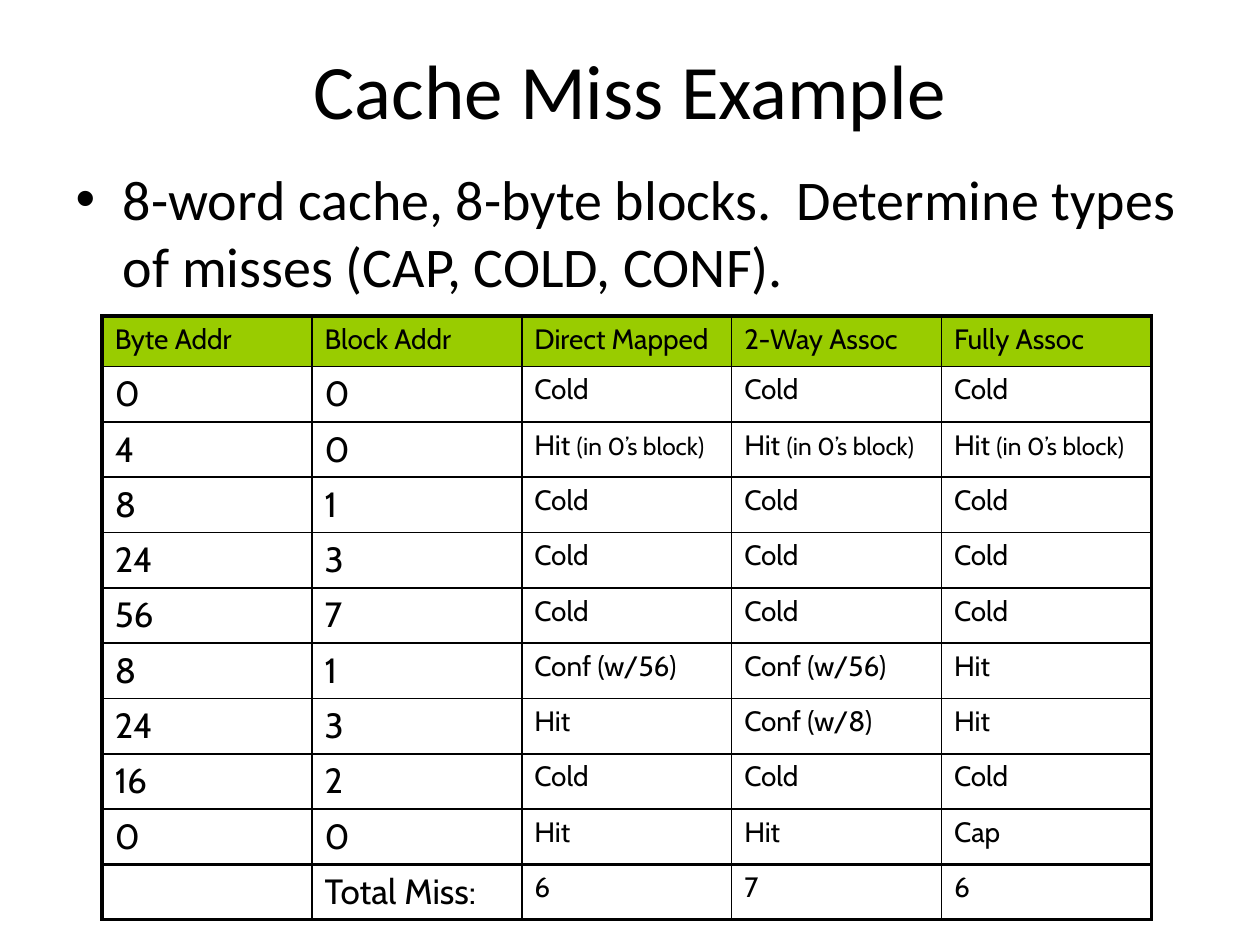
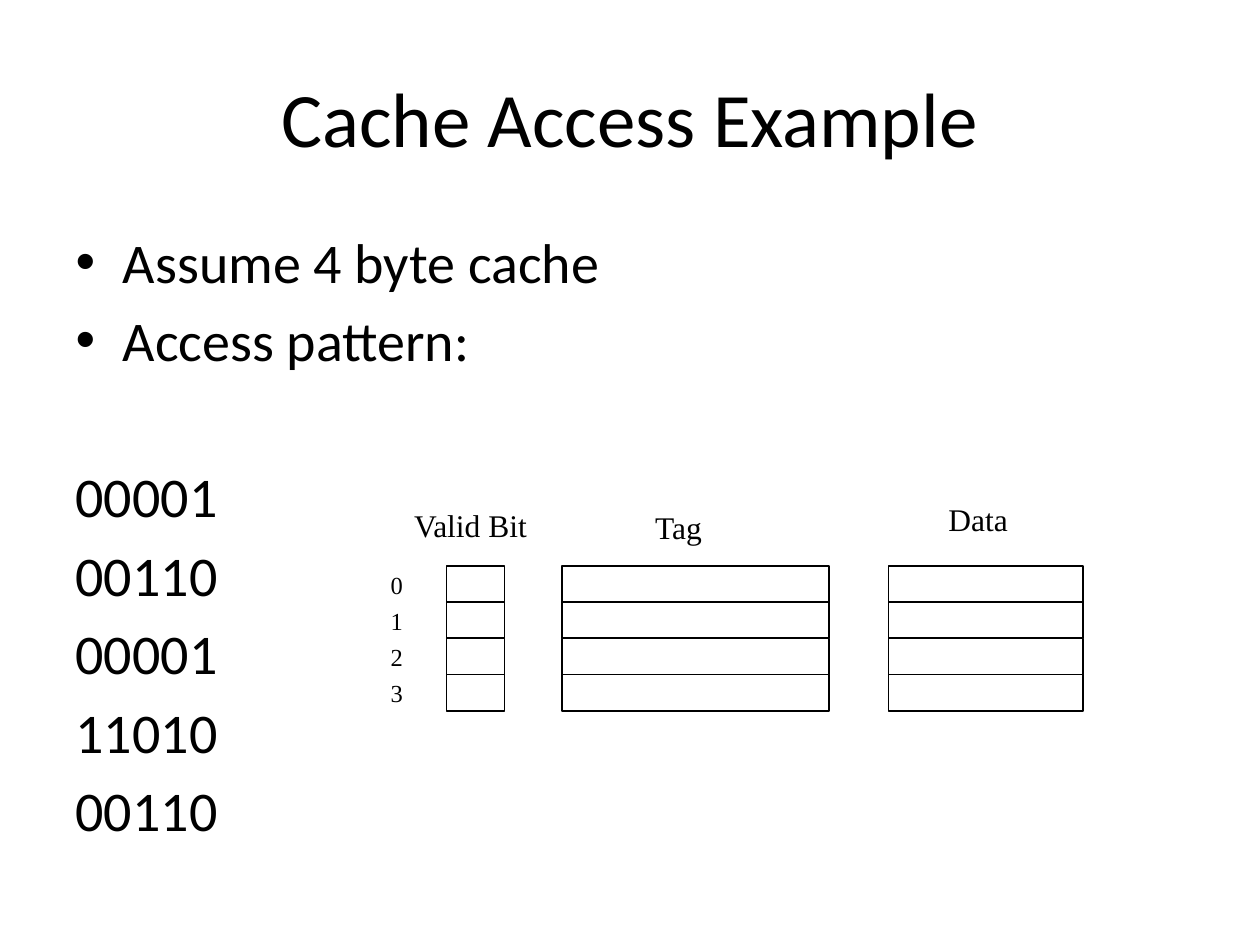
from dataclasses import dataclass

from lxml.etree import Element, SubElement
from pptx import Presentation
from pptx.dml.color import RGBColor
from pptx.enum.shapes import MSO_SHAPE as Preset
from pptx.enum.text import MSO_ANCHOR as Anchor, MSO_AUTO_SIZE as AutoSize, PP_ALIGN as Align
from pptx.oxml.ns import qn
from pptx.util import Cm, Pt


@dataclass(frozen=True)
class Theme:
    ink: str = "000000"
    paper: str = "FFFFFF"
    header: str = "99CC00"
    main_font: str = "Calibri"
    table_font: str = "Cabin"
    diagram_font: str = "Times New Roman"
    title_size: int = 44
    body_size: int = 32
    address_size: int = 20
    cell_size: int = 16
    note_size: int = 14
    label_size: int = 18
    index_size: int = 14
    thin: float = 1
    thick: float = 2.25


def write_text(paragraph, text, *, font, size, color, align=None, before=None, before_percent=None):
    run = paragraph.add_run()
    run.text = text
    run.font.name = font
    run.font.size = Pt(size)
    run.font.color.rgb = RGBColor.from_string(color)
    if align is not None:
        paragraph.alignment = align
    if before is not None:
        paragraph.space_before = Pt(before)
    if before_percent is not None:
        paragraph.space_before = Pt(0)
        spacing = paragraph._p.pPr.find(qn("a:spcBef"))
        spacing.clear()
        SubElement(spacing, qn("a:spcPct"), val=str(before_percent * 1000))


def set_borders(cell, color, widths):
    properties = cell._tc.get_or_add_tcPr()
    for position, (side, width) in enumerate(zip("LRTB", widths)):
        line = Element(qn(f"a:ln{side}"), w=str(Pt(width)))
        fill = SubElement(line, qn("a:solidFill"))
        SubElement(fill, qn("a:srgbClr"), val=color)
        properties.insert(position, line)


class Deck:
    def __init__(self, theme):
        self.theme = theme
        self.presentation = Presentation()
        self.presentation.slide_width = Cm(25.4)
        self.presentation.slide_height = Cm(19.05)
        self.slide = None

    def add_slide(self, title, title_top):
        self.slide = self.presentation.slides.add_slide(self.presentation.slide_layouts[1])
        frame = self.place(self.slide.shapes.title, title_top, 3.18)
        frame.vertical_anchor = Anchor.MIDDLE
        write_text(frame.paragraphs[0], title, font=self.theme.main_font,
                   size=self.theme.title_size, color=self.theme.ink, align=Align.CENTER)

    def place(self, placeholder, top, height):
        placeholder.left, placeholder.top = Cm(1.27), Cm(top)
        placeholder.width, placeholder.height = Cm(22.86), Cm(height)
        placeholder.text_frame.auto_size = AutoSize.NONE
        return placeholder.text_frame

    def add_body(self, top, bullets, plain=(), plain_gap=None):
        frame = self.place(self.slide.placeholders[1], top, 12.57)
        for number, text in enumerate([*bullets, *plain]):
            paragraph = frame.add_paragraph() if number else frame.paragraphs[0]
            write_text(paragraph, text, font=self.theme.main_font, size=self.theme.body_size,
                       color=self.theme.ink,
                       before=plain_gap if number == len(bullets) else None)
            if number >= len(bullets):
                SubElement(paragraph._p.get_or_add_pPr(), qn("a:buNone"))

    def add_table(self, left, top, column_width, row_height, rows):
        theme = self.theme
        last_row, last_column = len(rows) - 1, len(rows[0]) - 1
        table = self.slide.shapes.add_table(
            len(rows), len(rows[0]), Cm(left), Cm(top),
            Cm(column_width * len(rows[0])), Cm(row_height * len(rows))).table
        table.first_row = table.horz_banding = False
        for row, values in enumerate(rows):
            for column, text in enumerate(values):
                cell = table.cell(row, column)
                if row == 0:
                    cell.fill.solid()
                    cell.fill.fore_color.rgb = RGBColor.from_string(theme.header)
                else:
                    cell.fill.background()
                heavy = (column == 0, column == last_column,
                         row in (0, last_row), row >= last_row - 1)
                set_borders(cell, theme.ink, [theme.thick if edge else theme.thin for edge in heavy])
                size = theme.address_size if row and column < 2 else theme.cell_size
                self.fill_cell(cell, text, size)

    def fill_cell(self, cell, text, size):
        word, bracket, note = text.partition("(in")
        for part, part_size in ((word, size), (bracket + note, self.theme.note_size)):
            if part:
                write_text(cell.text_frame.paragraphs[0], part, font=self.theme.table_font,
                           size=part_size, color=self.theme.ink, before_percent=20)

    def add_box(self, shapes, left, top, width, height):
        box = shapes.add_shape(Preset.RECTANGLE, Cm(left), Cm(top), Cm(width), Cm(height))
        box.shadow.inherit = False
        box.fill.solid()
        box.fill.fore_color.rgb = RGBColor.from_string(self.theme.paper)
        box.line.color.rgb = RGBColor.from_string(self.theme.ink)
        box.line.width = Pt(self.theme.thin)

    def add_label(self, shapes, text, left, top, width, height, size):
        frame = shapes.add_textbox(Cm(left), Cm(top), Cm(width), Cm(height)).text_frame
        frame.word_wrap = False
        frame.auto_size = AutoSize.SHAPE_TO_FIT_TEXT
        write_text(frame.paragraphs[0], text, font=self.theme.diagram_font, size=size,
                   color=self.theme.ink, align=Align.CENTER)

    def add_cache_diagram(self, top, line_height, line_count, fields):
        shapes = self.slide.shapes.add_group_shape().shapes
        line_tops = [top + line * line_height for line in range(line_count)]
        for line, line_top in enumerate(line_tops):
            self.add_label(shapes, str(line), 7.62, line_top - 0.05, 0.76, 0.84,
                           self.theme.index_size)
        for name, left, width, label_left, label_top, label_width in fields:
            for line_top in line_tops:
                self.add_box(shapes, left, line_top, width, line_height)
            self.add_label(shapes, name, label_left, label_top, label_width, 1.02,
                           self.theme.label_size)


def main():
    deck = Deck(Theme())

    deck.add_slide("Cache Miss Example", 0.2)
    deck.add_body(3.18, ["8-word cache, 8-byte blocks.  Determine types of misses (CAP, COLD, CONF)."])
    same_block = "Hit (in 0’s block)"
    deck.add_table(2.06, 6.37, 4.23, 1.02, [
        ("Byte Addr", "Block Addr", "Direct Mapped", "2-Way Assoc", "Fully Assoc"),
        ("0", "0", "Cold", "Cold", "Cold"),
        ("4", "0", same_block, same_block, same_block),
        ("8", "1", "Cold", "Cold", "Cold"),
        ("24", "3", "Cold", "Cold", "Cold"),
        ("56", "7", "Cold", "Cold", "Cold"),
        ("8", "1", "Conf (w/56)", "Conf (w/56)", "Hit"),
        ("24", "3", "Hit", "Conf (w/8)", "Hit"),
        ("16", "2", "Cold", "Cold", "Cold"),
        ("0", "0", "Hit", "Hit", "Cap"),
        ("", "Total Miss:", "6", "7", "6"),
    ])

    deck.add_slide("Cache Access Example", 0.76)
    deck.add_body(4.45, ["Assume 4 byte cache", "Access pattern:"],
                  ["00001", "00110", "00001", "11010", "00110"], plain_gap=51)
    deck.add_cache_diagram(11.41, 0.73, 4, [
        ("Valid Bit", 9, 1.17, 8.05, 10.08, 2.87),
        ("Tag", 11.33, 5.39, 12.93, 10.11, 1.5),
        ("Data", 17.91, 3.92, 18.87, 9.96, 1.7),
    ])

    deck.presentation.save("out.pptx")


if __name__ == "__main__":
    main()
